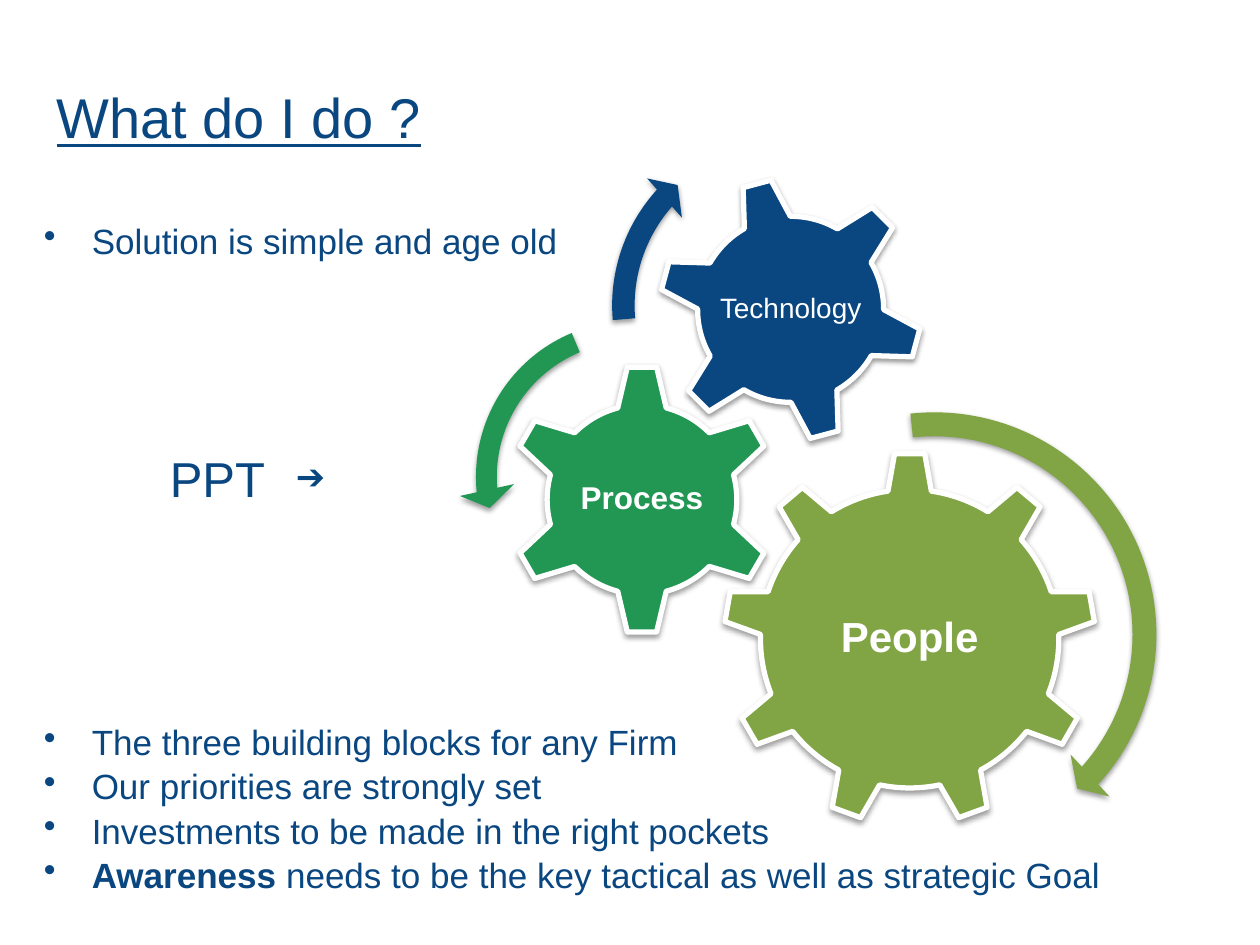
import pptx
import pptx.util
import pptx.dml.color
import pptx.enum.shapes
import pptx.enum.text
import pptx.oxml
import pptx.oxml.ns

Inches = pptx.util.Inches
Pt = pptx.util.Pt
KIND = pptx.enum.shapes.MSO_SHAPE
ALIGN = pptx.enum.text.PP_ALIGN
MID = pptx.enum.text.MSO_ANCHOR.MIDDLE
COLORS = {"navy": "0A4780", "green": "229754", "olive": "81A445", "white": "FFFFFF"}
SHADE = (
    '<a:effectLst xmlns:a="http://schemas.openxmlformats.org/drawingml/2006/main">'
    '<a:outerShdw blurRad="39370" dist="20320" dir="5400000" rotWithShape="0">'
    '<a:srgbClr val="000000"><a:alpha val="38000"/></a:srgbClr>'
    "</a:outerShdw></a:effectLst>"
)


def color(name):
    return pptx.dml.color.RGBColor.from_string(COLORS[name])


class Deck:
    face = "Arial"

    def __init__(self):
        self.show = pptx.Presentation()
        self.show.slide_width = Inches(10)
        self.show.slide_height = Inches(7.5)
        self.slide = self.show.slides.add_slide(self.show.slide_layouts[5])

    def style(self, para, size, tint="navy", bold=None):
        font = para.font
        font.name = self.face
        font.size = Pt(size)
        font.bold = bold
        font.color.rgb = color(tint)

    def title(self, text, box):
        head = self.slide.shapes.title
        head.left, head.top, head.width, head.height = map(Inches, box)
        head.text_frame.text = text
        head.text_frame.vertical_anchor = MID
        para = head.text_frame.paragraphs[0]
        para.alignment = ALIGN.LEFT
        self.style(para, 32)
        para.font.underline = True

    def frame(self, box):
        frame = self.slide.shapes.add_textbox(*map(Inches, box)).text_frame
        frame.word_wrap = True
        return frame

    def shape(self, kind, box, fill):
        shape = self.slide.shapes.add_shape(kind, *map(Inches, box))
        shape.fill.solid()
        shape.fill.fore_color.rgb = color(fill)
        shape.line.fill.background()
        return shape

    def shade(self, shape):
        shape.shadow.inherit = False
        props = shape._element.spPr
        props.replace(props.find(pptx.oxml.ns.qn("a:effectLst")), pptx.oxml.parse_xml(SHADE))

    def gear(self, kind, left, top, size, fill, text, area, points, bold, turn=0):
        gear = self.shape(kind, (left, top, size, size), fill)
        gear.rotation = turn
        gear.line.color.rgb = color("white")
        gear.line.width = Pt(3)
        self.shade(gear)
        wide, high = area
        frame = self.frame((left + (size - wide) / 2, top + (size - high) / 2, wide, high))
        frame.margin_left = frame.margin_right = Inches(0.02)
        frame.margin_top = frame.margin_bottom = Inches(0.02)
        frame.vertical_anchor = MID
        para = frame.paragraphs[0]
        para.text = text
        para.alignment = ALIGN.CENTER
        para.line_spacing = 0.9
        self.style(para, points, "white", bold)

    def arc(self, kind, left, top, size, fill, bends):
        arc = self.shape(kind, (left, top, size, size), fill)
        for spot, bend in enumerate(bends):
            arc.adjustments[spot] = bend
        self.shade(arc)

    def line(self, frame, parts, size=20, gap=0, indent=0.38, dot=True):
        para = frame.paragraphs[0]
        if para.runs:
            para = frame.add_paragraph()
        props = para._p.get_or_add_pPr()
        props.set("marL", str(Inches(indent)))
        if gap:
            para.space_before = Pt(gap)
        if dot:
            props.set("indent", str(-Inches(indent)))
            mark = pptx.oxml.parse_xml(
                '<a:buChar xmlns:a="http://schemas.openxmlformats.org/drawingml/2006/main" char="•"/>'
            )
            props.append(mark)
        for text, bold in parts:
            run = para.add_run()
            run.text = text
            if bold:
                run.font.bold = True
        self.style(para, size)


def main():
    deck = Deck()
    deck.title("What do I do ?", (0.35, 0.3, 9.15, 1.25))

    deck.gear(KIND.GEAR_9, 5.74, 3.59, 2.96, "olive", "People", (1.77, 1.52), 24, True)
    deck.gear(KIND.GEAR_6, 4.02, 2.89, 2.15, "green", "Process", (1.07, 1.06), 18, True)
    deck.gear(KIND.GEAR_6, 5.22, 1.4, 2.11, "navy", "Technology", (1.18, 1.18), 16, False, 345)

    deck.arc(KIND.CIRCULAR_ARROW, 5.52, 3.14, 3.79, "olive", (0.05, 2.99, 25.31, 158.29, 0.06))
    deck.arc(KIND.LEFT_CIRCULAR_ARROW, 3.64, 2.41, 2.75, "green", (0.06, 4.3, 104.89, 148.38, 0.08))
    deck.arc(KIND.CIRCULAR_ARROW, 4.74, 0.94, 2.97, "navy", (0.06, 3.94, 133.14, 105.08, 0.07))

    body = deck.frame((0.25, 1.67, 9.15, 5.83))
    body.margin_top = Inches(0.07)
    deck.line(body, [("Solution is simple and age old", False)])
    deck.line(body, [("PPT", False)], size=28, gap=107, indent=1, dot=False)
    deck.line(body, [("The three building blocks for any Firm", False)], gap=122)
    for parts in (
        [("Our priorities are strongly set", False)],
        [("Investments to be made in the right pockets", False)],
        [("Awareness", True), (" needs to be the key tactical as well as strategic Goal", False)],
    ):
        deck.line(body, parts, gap=1.2)

    arrow = deck.frame((2.25, 3.56, 3, 0.44))
    deck.line(arrow, [("➔", False)], indent=0, dot=False)
    deck.show.save("out.pptx")


if __name__ == "__main__":
    main()
